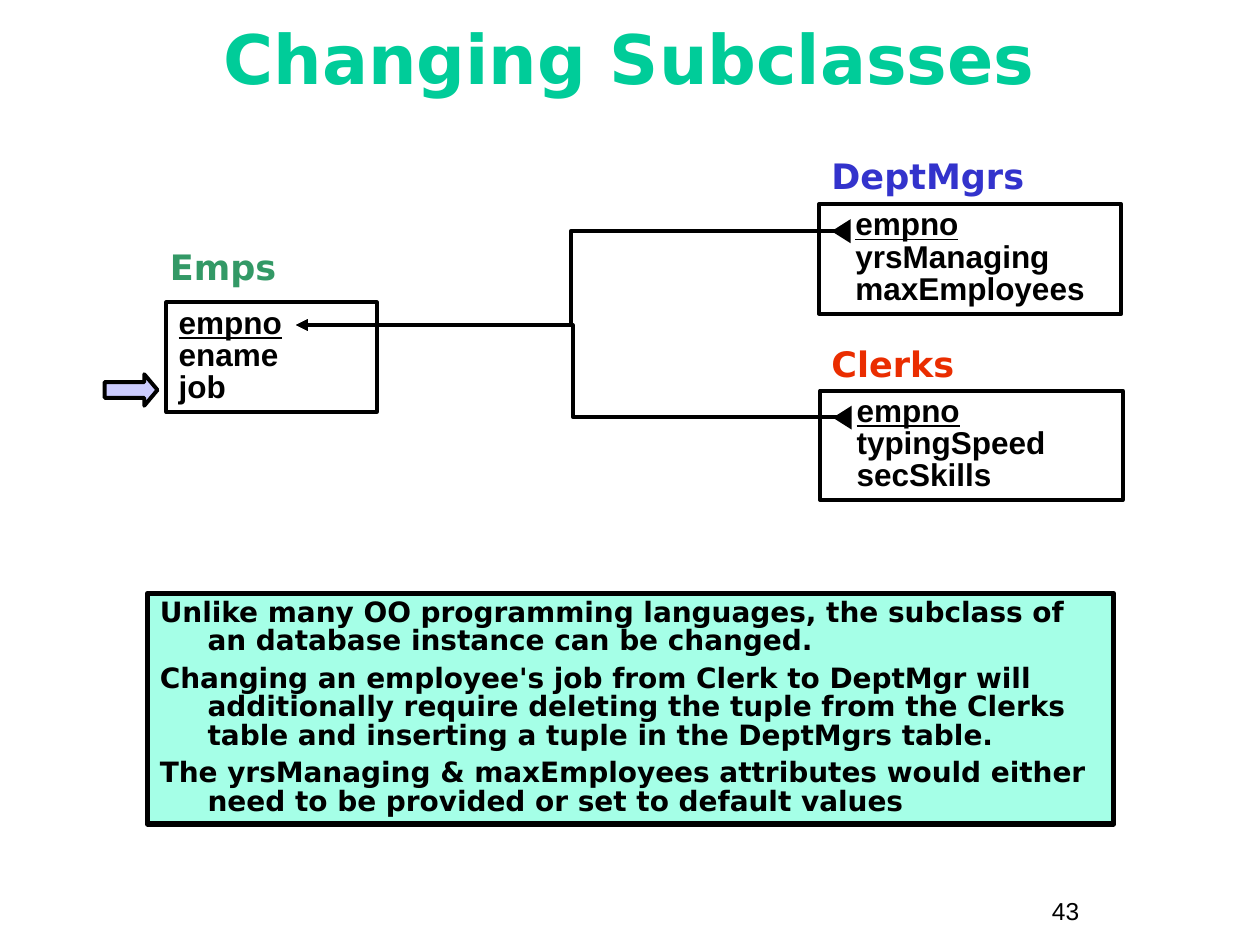
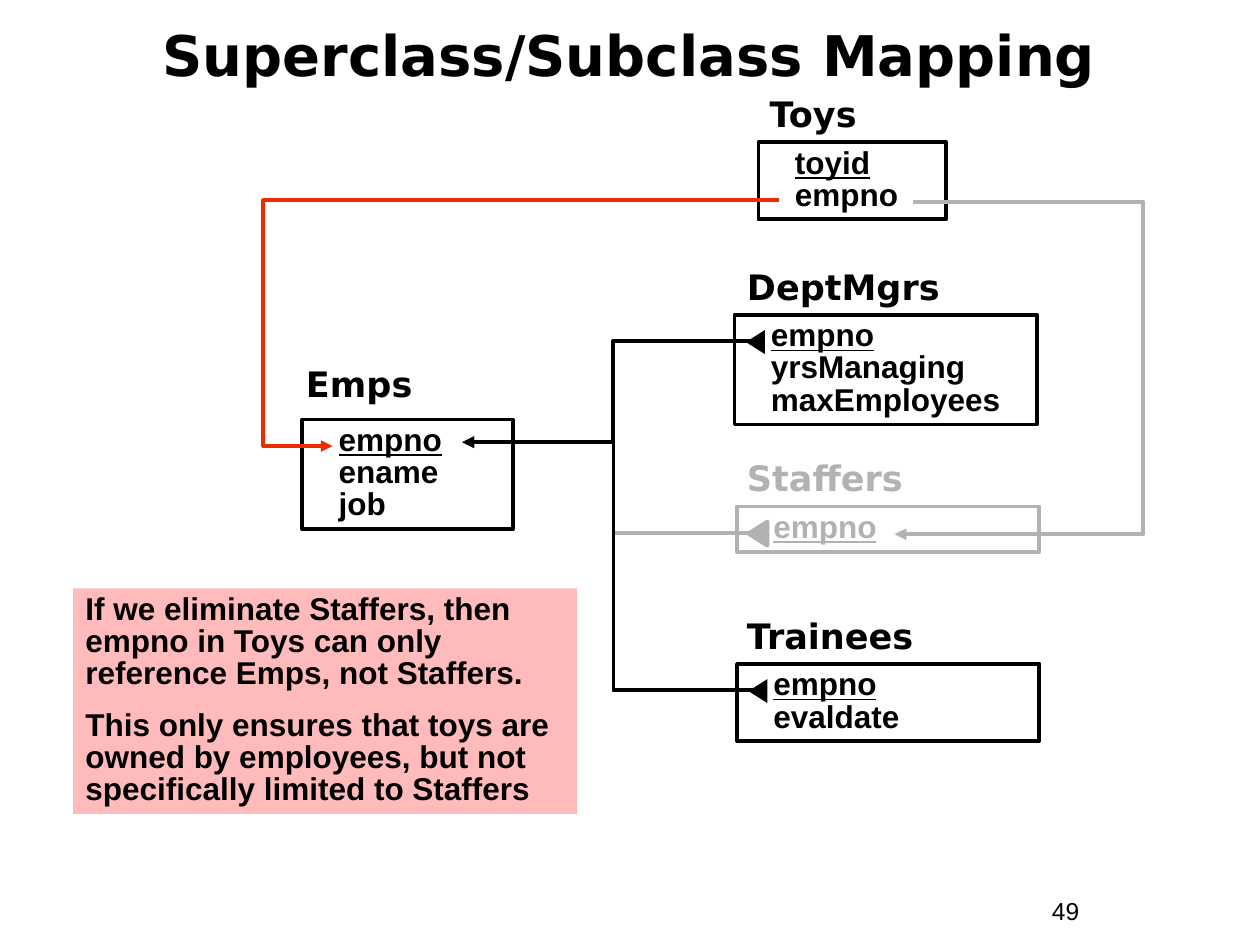
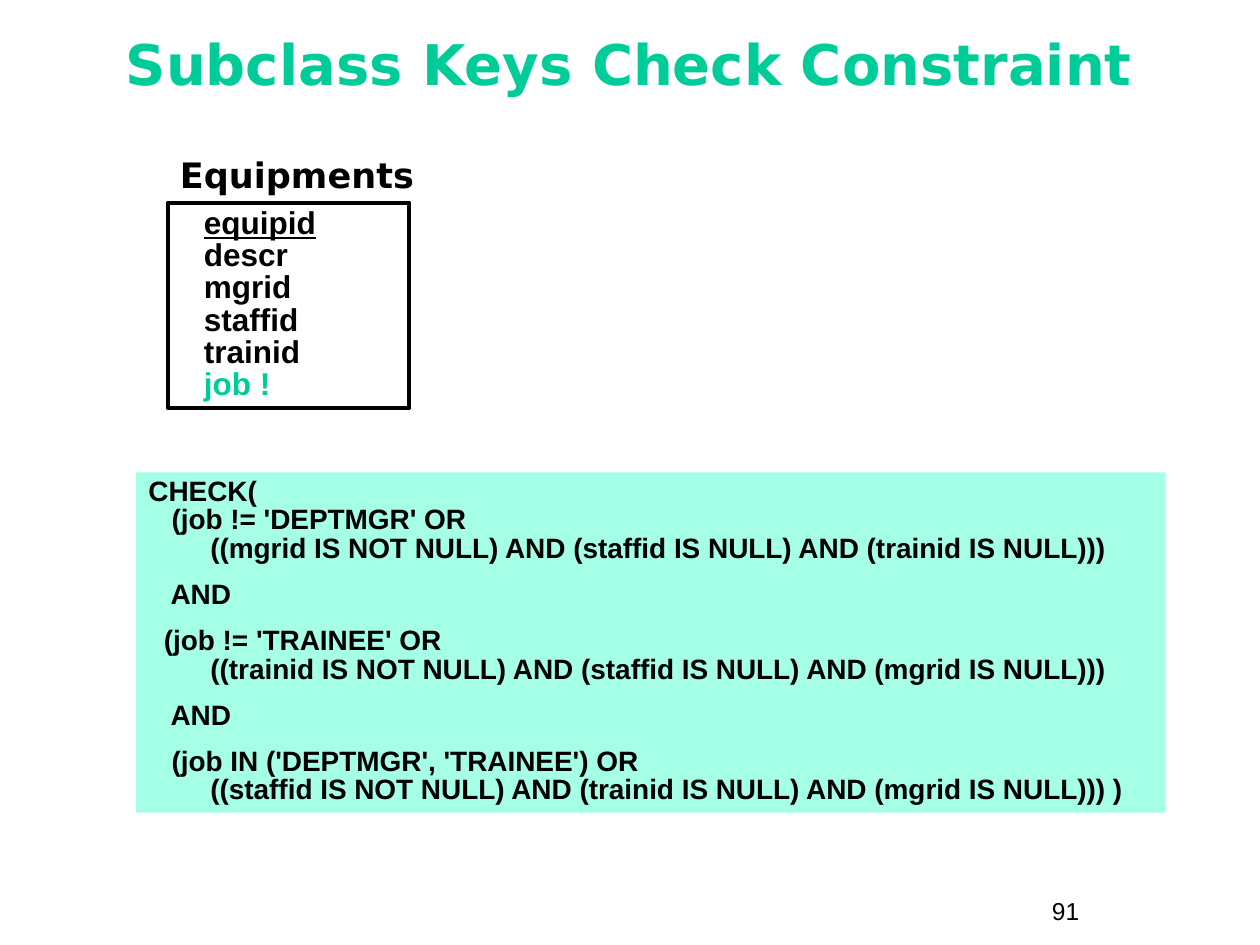
from dataclasses import dataclass
from typing import Optional

from lxml.etree import SubElement
from pptx import Presentation
from pptx.dml.color import RGBColor
from pptx.enum.shapes import MSO_CONNECTOR, MSO_SHAPE
from pptx.enum.text import MSO_ANCHOR, PP_ALIGN
from pptx.oxml.ns import qn
from pptx.util import Inches, Pt

COLORS = {
    "black": "000000",
    "teal": "00CC99",
    "green": "339966",
    "blue": "3333CC",
    "red": "EA2D00",
    "grey": "B2B2B2",
    "lavender": "CCCCFF",
    "mint": "A5FFE7",
    "pink": "FFBBBB",
}
HEADING_FONT = "DejaVu Sans"
BODY_FONT = "Arial"
LINE_WIDTH = 2.25
ROW_SPACING = 0.85


@dataclass(frozen=True)
class TextStyle:
    size: float
    font: str = BODY_FONT
    color: str = "black"
    bold: bool = True
    align: PP_ALIGN = PP_ALIGN.LEFT
    line_spacing: float = ROW_SPACING
    space_before: float = 0
    margin: float = 0
    hanging: float = 0


@dataclass(frozen=True)
class Relation:
    """A database table: its name above a box of columns, key first."""
    name: str
    label_left: float
    label_top: float
    left: float
    top: float
    width: float
    height: float
    columns: tuple
    name_color: str = "black"
    ink: str = "black"
    indent: float = 0.19
    tight_label: bool = False
    highlighted: str = ""


@dataclass(frozen=True)
class Reference:
    """An elbow line from a foreign key to the key it refers to."""
    start: tuple
    end: tuple
    color: str = "black"
    turn_x: Optional[float] = None
    arrow: bool = True


@dataclass(frozen=True)
class KeyMarker:
    left: float
    top: float
    color: str = "black"
    outlined: bool = False


@dataclass(frozen=True)
class Note:
    left: float
    top: float
    width: float
    height: float
    fill: str
    style: TextStyle
    paragraphs: tuple
    border: float = 0


def rgb(color: str) -> RGBColor:
    return RGBColor.from_string(COLORS[color])


def write(shape, paragraphs: tuple, style: TextStyle, anchor=MSO_ANCHOR.TOP) -> list:
    frame = shape.text_frame
    frame.word_wrap = True
    frame.vertical_anchor = anchor
    for index, text in enumerate(paragraphs):
        paragraph = frame.add_paragraph() if index else frame.paragraphs[0]
        paragraph.text = text
        paragraph.alignment = style.align
        paragraph.line_spacing = style.line_spacing
        if index:
            paragraph.space_before = Pt(style.space_before)
        properties = paragraph._p.get_or_add_pPr()
        properties.set("marL", str(Inches(style.margin)))
        properties.set("indent", str(Inches(-style.hanging)))
        font = paragraph.font
        font.name, font.size, font.bold = style.font, Pt(style.size), style.bold
        font.color.rgb = rgb(style.color)
    return list(frame.paragraphs)


def add_label(slide, left: float, top: float, width: float, height: float,
              text: str, style: TextStyle, anchor=MSO_ANCHOR.TOP) -> None:
    label = slide.shapes.add_textbox(Inches(left), Inches(top), Inches(width), Inches(height))
    write(label, (text,), style, anchor)


def add_figure(slide, kind: MSO_SHAPE, left: float, top: float, width: float, height: float,
               fill: str = "", line: str = "", line_width: float = LINE_WIDTH):
    figure = slide.shapes.add_shape(kind, Inches(left), Inches(top), Inches(width), Inches(height))
    figure.shadow.inherit = False
    if fill:
        figure.fill.solid()
        figure.fill.fore_color.rgb = rgb(fill)
    else:
        figure.fill.background()
    if line:
        figure.line.color.rgb = rgb(line)
        figure.line.width = Pt(line_width)
    else:
        figure.line.fill.background()
    return figure


def add_relation(slide, relation: Relation) -> None:
    height, spacing = (0.37, 0.8) if relation.tight_label else (0.44, 1.0)
    add_label(slide, relation.label_left, relation.label_top, 2.15, height, relation.name,
              TextStyle(20, HEADING_FONT, relation.name_color, line_spacing=spacing))
    box = add_figure(slide, MSO_SHAPE.RECTANGLE, relation.left, relation.top,
                     relation.width, relation.height, line=relation.ink)
    rows = write(box, relation.columns,
                 TextStyle(18, color=relation.ink, margin=relation.indent))
    rows[0].font.underline = True
    for row in rows:
        if row.text == relation.highlighted:
            row.font.color.rgb = rgb("teal")


def add_reference(slide, reference: Reference) -> None:
    (start_x, start_y), (end_x, end_y) = reference.start, reference.end
    link = slide.shapes.add_connector(MSO_CONNECTOR.ELBOW, Inches(start_x), Inches(start_y),
                                      Inches(end_x), Inches(end_y))
    link.line.color.rgb = rgb(reference.color)
    link.line.width = Pt(LINE_WIDTH)
    if reference.arrow:
        SubElement(link.line._get_or_add_ln(), qn("a:tailEnd"), type="triangle")
    properties = link._element.spPr
    SubElement(properties, qn("a:effectLst"))
    if reference.turn_x is not None:
        share = round((reference.turn_x - start_x) / (end_x - start_x) * 100000)
        guides = properties.find(qn("a:prstGeom")).get_or_add_avLst()
        SubElement(guides, qn("a:gd"), name="adj1", fmla=f"val {share}")


def add_key_marker(slide, marker: KeyMarker) -> None:
    triangle = add_figure(slide, MSO_SHAPE.ISOSCELES_TRIANGLE, marker.left, marker.top, 0.19, 0.15,
                          marker.color, marker.color if marker.outlined else "")
    triangle.rotation = 270


def add_note(slide, note: Note) -> None:
    box = add_figure(slide, MSO_SHAPE.RECTANGLE, note.left, note.top, note.width, note.height,
                     note.fill, "black" if note.border else "", note.border)
    write(box, note.paragraphs, note.style)


def add_page(deck, number: int, title: str, title_top: float, title_style: TextStyle,
             relations: tuple, references: tuple, markers: tuple, note: Note):
    slide = deck.slides.add_slide(deck.slide_layouts[6])
    add_label(slide, 8.25, 7.06, 0.92, 0.34, str(number),
              TextStyle(14, bold=False, line_spacing=1.0))
    add_label(slide, 0.33, title_top, 9.33, 0.75, title, title_style, MSO_ANCHOR.MIDDLE)
    for relation in relations:
        add_relation(slide, relation)
    for reference in references:
        add_reference(slide, reference)
    for marker in markers:
        add_key_marker(slide, marker)
    add_note(slide, note)
    return slide


def title_style(size: float, color: str, line_spacing: float = ROW_SPACING) -> TextStyle:
    return TextStyle(size, HEADING_FONT, color, align=PP_ALIGN.CENTER, line_spacing=line_spacing)


EMPLOYEE_COLUMNS = ("empno", "ename", "job")
MANAGER_COLUMNS = ("empno", "yrsManaging", "maxEmployees")


def add_changing_subclasses(deck) -> None:
    emps_key = (2.35, 2.58)
    slide = add_page(
        deck, 43, "Changing Subclasses", 0.08, title_style(39, "teal", 1.0),
        relations=(
            Relation("Emps", 1.25, 1.9, 1.32, 2.4, 1.67, 0.87, EMPLOYEE_COLUMNS,
                     "green", indent=0),
            Relation("Clerks", 6.5, 2.73, 6.51, 3.1, 2.4, 0.87,
                     ("empno", "typingSpeed", "secSkills"), "red", tight_label=True),
            Relation("DeptMgrs", 6.5, 1.18, 6.5, 1.62, 2.4, 0.87, MANAGER_COLUMNS, "blue"),
        ),
        references=(
            Reference((6.74, 3.31), emps_key),
            Reference((6.72, 1.83), emps_key),
        ),
        markers=(KeyMarker(6.58, 1.76), KeyMarker(6.59, 3.24)),
        note=Note(1.17, 4.71, 7.67, 1.83, "mint",
                  TextStyle(16, HEADING_FONT, space_before=5, margin=0.38, hanging=0.38), (
                      "Unlike many OO programming languages, the subclass of an database "
                      "instance can be changed.",
                      "Changing an employee's job from Clerk to DeptMgr will additionally "
                      "require deleting the tuple from the Clerks table and inserting a tuple "
                      "in the DeptMgrs table.",
                      "The yrsManaging & maxEmployees attributes would either need to be "
                      "provided or set to default values",
                  ), border=3),
    )
    # Pointer to the job column
    pointer = add_figure(slide, MSO_SHAPE.RIGHT_ARROW, 0.83, 2.97, 0.42, 0.25,
                         "lavender", "black")
    pointer.adjustments[1] = 0.42


def add_superclass_mapping(deck) -> None:
    emps_key = (3.67, 3.51)
    add_page(
        deck, 49, "Superclass/Subclass Mapping", 0.1, title_style(32, "black"),
        relations=(
            Relation("Emps", 2.33, 2.83, 2.4, 3.33, 1.67, 0.87, EMPLOYEE_COLUMNS),
            Relation("Staffers", 5.83, 3.64, 5.85, 4.02, 2.4, 0.36, ("empno",),
                     "grey", "grey", tight_label=True),
            Relation("DeptMgrs", 5.83, 2.06, 5.83, 2.5, 2.4, 0.87, MANAGER_COLUMNS),
            Relation("Trainees", 5.83, 4.89, 5.85, 5.27, 2.4, 0.61, ("empno", "evaldate"),
                     tight_label=True),
            Relation("Toys", 6.01, 0.75, 6.02, 1.13, 1.49, 0.61, ("toyid", "empno"),
                     tight_label=True),
        ),
        references=(
            Reference((6.07, 4.23), emps_key, "grey"),
            Reference((6.06, 2.71), emps_key),
            Reference((6.07, 5.48), emps_key),
            Reference((6.18, 1.59), (2.64, 3.54), "red", turn_x=2.09),
            Reference((7.25, 1.6), (7.1, 4.24), "grey", turn_x=9.07),
        ),
        markers=(KeyMarker(5.9, 2.64), KeyMarker(5.92, 4.16, "grey", outlined=True),
                 KeyMarker(5.92, 5.41)),
        note=Note(0.58, 4.67, 4, 1.79, "pink", TextStyle(18, space_before=11.2), (
            "If we eliminate Staffers, then empno in Toys can only reference Emps, "
            "not Staffers.",
            "This only ensures that toys are owned by employees, but not specifically "
            "limited to Staffers",
        )),
    )


def add_check_constraint(deck) -> None:
    add_page(
        deck, 91, "Subclass Keys Check Constraint", 0.17, title_style(32, "teal"),
        relations=(
            Relation("Equipments", 1.33, 1.17, 1.33, 1.61, 1.92, 1.63,
                     ("equipid", "descr", "mgrid", "staffid", "trainid", "job !"),
                     highlighted="job !"),
        ),
        references=(),
        markers=(),
        note=Note(1.08, 3.75, 8.17, 2.7, "mint", TextStyle(16, space_before=10), (
            "CHECK(\n   (job != 'DEPTMGR' OR\n"
            "        ((mgrid IS NOT NULL) AND (staffid IS NULL) AND (trainid IS NULL)))",
            "   AND",
            "  (job != 'TRAINEE' OR\n"
            "        ((trainid IS NOT NULL) AND (staffid IS NULL) AND (mgrid IS NULL)))",
            "   AND",
            "   (job IN ('DEPTMGR', 'TRAINEE') OR\n"
            "        ((staffid IS NOT NULL) AND (trainid IS NULL) AND (mgrid IS NULL))) )",
        )),
    )


def main() -> None:
    deck = Presentation()
    deck.slide_width, deck.slide_height = Inches(10), Inches(7.5)
    add_changing_subclasses(deck)
    add_superclass_mapping(deck)
    add_check_constraint(deck)
    deck.save("out.pptx")


if __name__ == "__main__":
    main()
